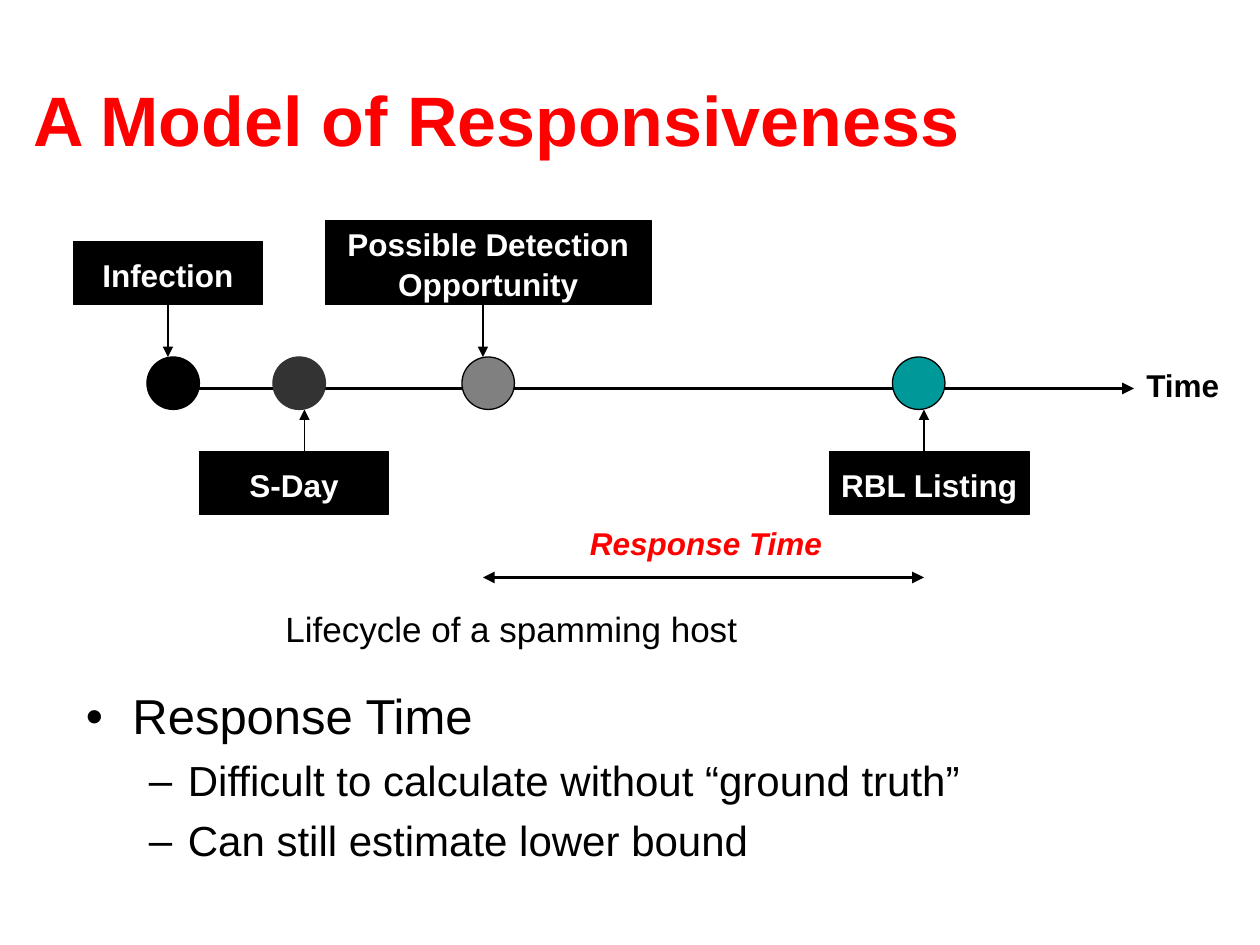
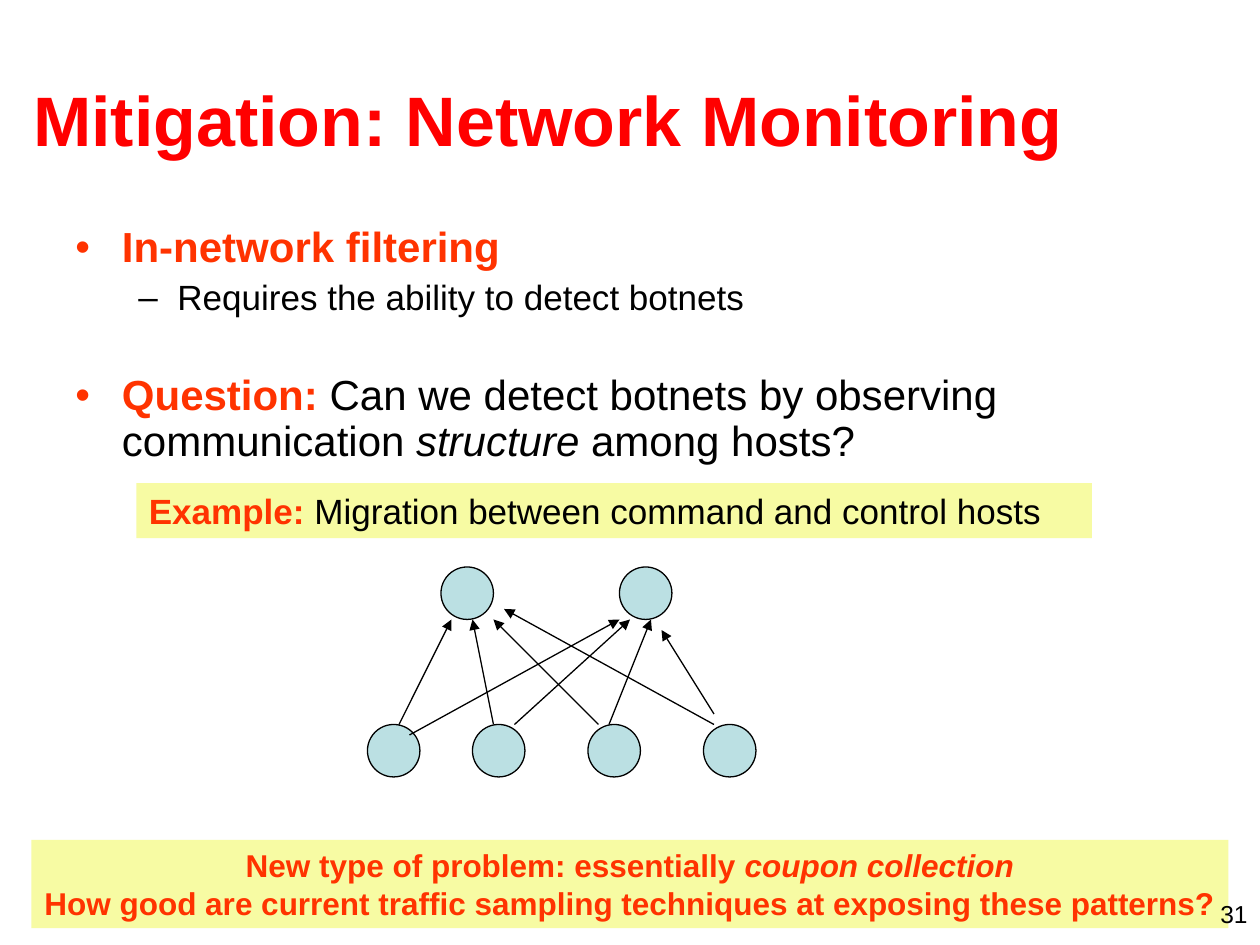
"""Build two slides: a responsiveness timeline and a network monitoring overview."""
import lxml.etree
import pptx
import pptx.dml.color
import pptx.enum.shapes
import pptx.enum.text
import pptx.oxml.ns
import pptx.util


class Theme:
    font = "Arial"
    black, white, dark, grey = "000000", "FFFFFF", "333333", "808080"
    red, orange, teal = "FF0000", "FF3300", "009999"
    pale_blue, pale_yellow = "BBE0E3", "F7FBA3"
    title, heading, body, note, label, number = 40, 28, 24, 20, 18, 14
    thin, thick = 0.75, 2.25
    bullets = [("•", 0.37, 0.37), ("–", 0.81, 0.31)]


Point = pptx.util.Pt
Color = pptx.dml.color.RGBColor.from_string
Align = pptx.enum.text.PP_ALIGN
Anchor = pptx.enum.text.MSO_ANCHOR
Geometry = pptx.enum.shapes.MSO_SHAPE
qualified = pptx.oxml.ns.qn

presentation = pptx.Presentation()
presentation.slide_width = pptx.util.Inches(10)
presentation.slide_height = pptx.util.Inches(7.5)
column = presentation.slide_width / 120
row = presentation.slide_height / 90


def add_box(slide, box, paragraphs=(), geometry=None, fill=None, line=None,
            align=Align.LEFT, anchor=Anchor.TOP, wrap=True, spacing=1.0):
    """Place a text box or shape; each paragraph is (bullet level, space before, runs)."""
    left, top, width, height = box
    frame = [int(left * column), int(top * row), int(width * column), int(height * row)]
    if geometry is None:
        shape = slide.shapes.add_textbox(*frame)
    else:
        shape = slide.shapes.add_shape(geometry, *frame)
        shape.shadow.inherit = False
        shape.fill.solid()
        shape.fill.fore_color.rgb = Color(fill)
        if line:
            shape.line.color.rgb = Color(line)
            shape.line.width = Point(Theme.thin)
        else:
            shape.line.fill.background()
    text_frame = shape.text_frame
    text_frame.word_wrap = wrap
    text_frame.vertical_anchor = anchor
    for index, (level, space, runs) in enumerate(paragraphs):
        paragraph = text_frame.add_paragraph() if index else text_frame.paragraphs[0]
        if level is not None:
            symbol, indent, hang = Theme.bullets[level]
            paragraph.level = level
            properties = paragraph._p.get_or_add_pPr()
            properties.set("marL", str(pptx.util.Inches(indent)))
            properties.set("indent", str(-pptx.util.Inches(hang)))
            bullet_color = lxml.etree.SubElement(properties, qualified("a:buClr"))
            lxml.etree.SubElement(bullet_color, qualified("a:srgbClr"), val=runs[0][2])
            lxml.etree.SubElement(properties, qualified("a:buFont"), typeface=Theme.font)
            lxml.etree.SubElement(properties, qualified("a:buChar"), char=symbol)
        paragraph.alignment = align
        paragraph.line_spacing = spacing
        paragraph.space_before = Point(space)
        for text, size, color, style in runs:
            if text == "\n":
                paragraph.add_line_break()
                continue
            run = paragraph.add_run()
            run.text = text
            run.font.name = Theme.font
            run.font.size = Point(size)
            run.font.color.rgb = Color(color)
            run.font.bold = "b" in style
            run.font.italic = "i" in style


def add_arrow(slide, start, end, width=Theme.thin, ends=("tailEnd",)):
    """Draw a straight black arrow between two grid points."""
    connector = slide.shapes.add_connector(
        pptx.enum.shapes.MSO_CONNECTOR.STRAIGHT,
        int(start[0] * column), int(start[1] * row), int(end[0] * column), int(end[1] * row))
    connector.line.color.rgb = Color(Theme.black)
    connector.line.width = Point(width)
    for end_name in ends:
        lxml.etree.SubElement(connector.line._get_or_add_ln(), qualified("a:" + end_name), type="triangle")
    lxml.etree.SubElement(connector._element.spPr, qualified("a:effectLst"))


slides = []
for title in ["A Model of Responsiveness", "Mitigation: Network Monitoring"]:
    slide = presentation.slides.add_slide(presentation.slide_layouts[6])
    add_box(slide, (2, 3.8, 115, 15), [(None, 0, [(title, Theme.title, Theme.red, "b")])],
            anchor=Anchor.MIDDLE)
    slides.append(slide)
timeline_slide, monitoring_slide = slides

circle_size = 5
circle_top = 34
add_arrow(timeline_slide, (19, 37), (108, 37), Theme.thick)
milestones = [
    (["Infection"], (7, 23, 18, 6), 14, 16, Theme.black, Theme.black),
    (["S-Day"], (19, 43, 18, 6), 26, 29, Theme.dark, Theme.dark),
    (["Possible Detection", "Opportunity"], (31, 21, 31, 8), 44, 46, Theme.grey, Theme.black),
    (["RBL Listing"], (79, 43, 19, 6), 85, 88, Theme.teal, Theme.black),
]
for lines, box, circle_left, stem, fill, outline in milestones:
    add_box(timeline_slide, (circle_left, circle_top, circle_size, circle_size),
            geometry=Geometry.OVAL, fill=fill, line=outline)
    add_box(timeline_slide, box,
            [(None, 0, [(text, Theme.label, Theme.white, "b")]) for text in lines],
            geometry=Geometry.RECTANGLE, fill=Theme.black, line=Theme.black,
            align=Align.CENTER, anchor=Anchor.MIDDLE, wrap=False, spacing=1.08)
    if box[1] < circle_top:
        add_arrow(timeline_slide, (stem, box[1] + box[3]), (stem, circle_top))
    else:
        add_arrow(timeline_slide, (stem, box[1]), (stem, circle_top + circle_size))
add_arrow(timeline_slide, (46, 55), (88, 55), Theme.thick, ("headEnd", "tailEnd"))

captions = [
    ("Time", (108, 34, 9.4, 5.2), Theme.label, Theme.black, "b"),
    ("Response Time", (55, 49, 24.6, 5.2), Theme.label, Theme.red, "bi"),
    ("Lifecycle of a spamming host", (26, 57, 47, 5.5), Theme.note, Theme.black, ""),
]
for text, box, size, color, style in captions:
    add_box(timeline_slide, box, [(None, 0, [(text, size, color, style)])], wrap=False, spacing=1.08)

add_box(timeline_slide, (7, 65, 108, 21.4), [
    (0, 0, [("Response Time", Theme.heading, Theme.black, "")]),
    (1, 6, [("Difficult to calculate without “ground truth”", Theme.body, Theme.black, "")]),
    (1, 6, [("Can still estimate lower bound", Theme.body, Theme.black, "")]),
], spacing=0.98)

add_box(monitoring_slide, (6, 21, 108, 30), [
    (0, 0, [("In-network filtering", Theme.body, Theme.orange, "b")]),
    (1, 5, [("Requires the ability to detect botnets", Theme.note, Theme.black, "")]),
    (0, 32, [("Question:", Theme.body, Theme.orange, "b"),
             (" Can we detect botnets by observing communication ", Theme.body, Theme.black, ""),
             ("structure", Theme.body, Theme.black, "i"),
             (" among hosts?", Theme.body, Theme.black, "")]),
], spacing=0.9)

controllers = [(left, 54) for left in (42, 59)]
bots = [(left, 69) for left in (35, 45, 56, 67)]
for left, top in bots + controllers:
    add_box(monitoring_slide, (left, top, circle_size, circle_size),
            geometry=Geometry.OVAL, fill=Theme.pale_blue, line=Theme.black)
links = [
    ((38, 69), (43, 59)), ((47, 69), (45, 59)), ((57, 69), (47, 59)), ((68, 69), (48, 58)),
    ((39, 70), (59, 59)), ((49, 69), (60, 59)), ((58, 69), (62, 59)), ((68, 68), (63, 60)),
]
for start, end in links:
    add_arrow(monitoring_slide, start, end)

bands = [
    ((13, 46, 91, 5.25), Align.LEFT, [
        ("Example:", Theme.note, Theme.orange, "b"),
        (" Migration between command and control hosts", Theme.note, Theme.black, "")]),
    ((3, 80, 114, 8.4), Align.CENTER, [
        ("New type of problem: essentially ", Theme.label, Theme.orange, "b"),
        ("coupon collection", Theme.label, Theme.orange, "bi"),
        ("\n", Theme.label, Theme.orange, "b"),
        ("How good are current traffic sampling techniques at exposing these patterns?",
         Theme.label, Theme.orange, "b")]),
]
for box, align, runs in bands:
    add_box(monitoring_slide, box, [(None, 0, runs)], geometry=Geometry.RECTANGLE,
            fill=Theme.pale_yellow, align=align)
add_box(monitoring_slide, (92, 85, 28, 3), [(None, 0, [("31", Theme.number, Theme.black, "")])],
        align=Align.RIGHT)

presentation.save("out.pptx")
